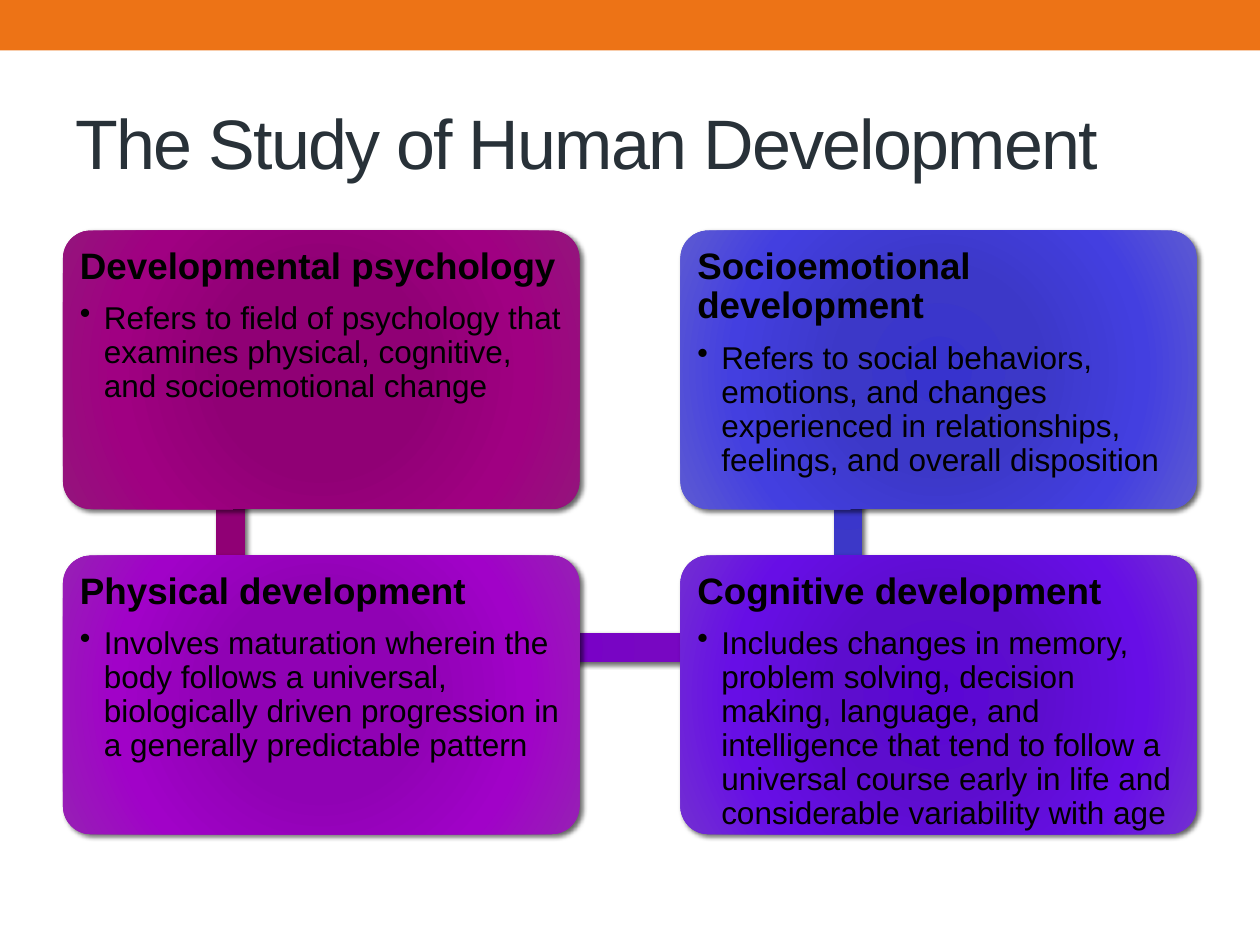
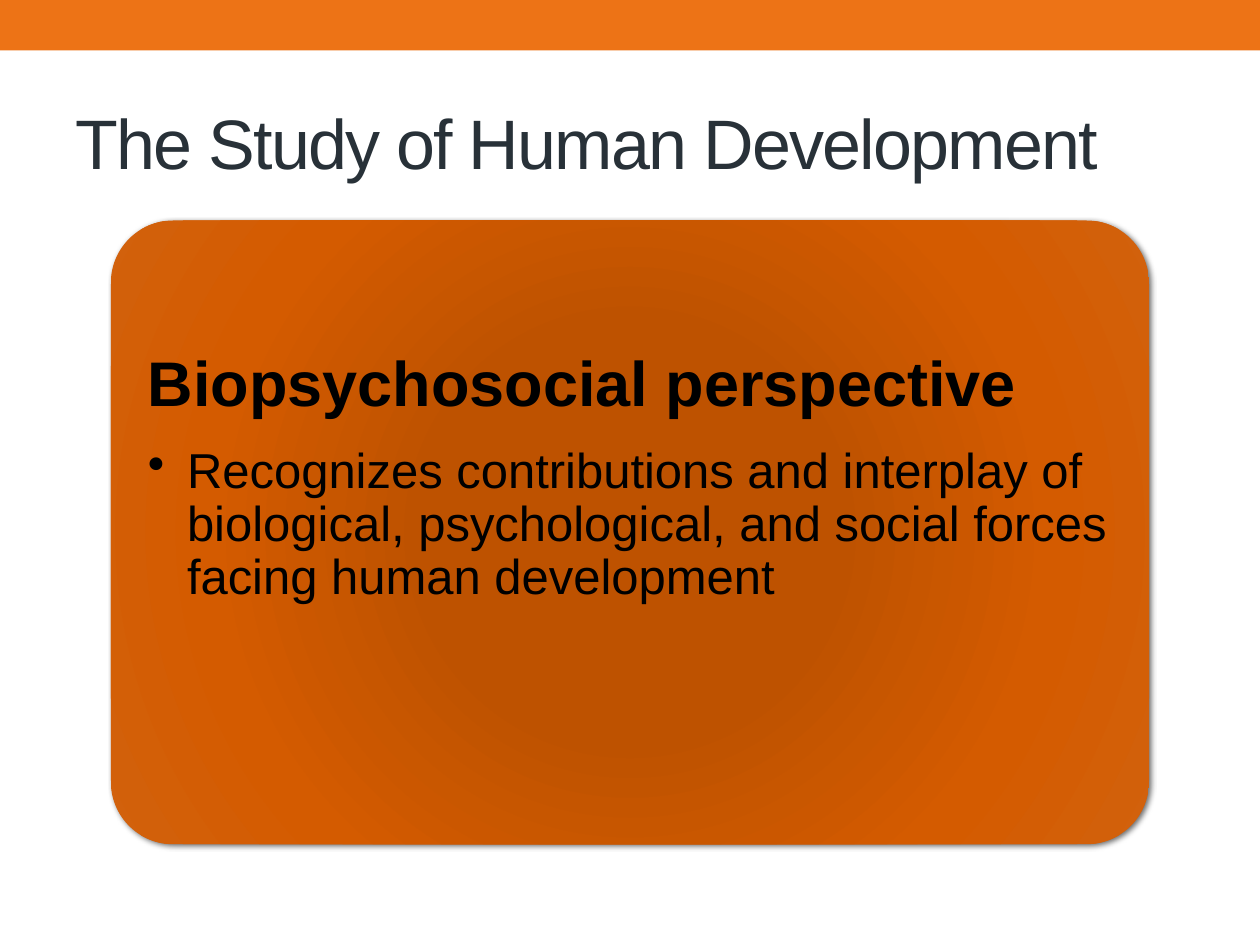
from lxml import etree
from pptx import Presentation
from pptx import util as u
from pptx.dml.color import RGBColor
from pptx.enum import shapes, text
from pptx.oxml import ns, parse_xml

IN = u.Inches
FONT = "Arial"
HEAD = "The Study of Human Development"
ORANGE = RGBColor(0xED, 0x73, 0x16)
SLATE = RGBColor(0x28, 0x31, 0x38)
BLACK = RGBColor(0, 0, 0)


def tones(*codes):
    return [RGBColor.from_string(code) for code in codes]


PLUM = tones("900075", "900075", "A00082", "94147C")
PURPLE = tones("9100B6", "9002B4", "A102C8", "9620B4")
VIOLET = tones("7900C8", "7807C2", "8607D8", "8627C3")
INDIGO = tones("5B06D5", "5D0DCE", "670EE6", "722FD1")
BLUE = tones("3733CE", "3C38C8", "433FE0", "5D5AD2")
RUST = tones("BE5200", "BE5200", "D45B00", "D2610C")
STOPS = (0, 34, 70, 100)

CARDS = [
    (0, 0, PLUM, "Developmental psychology",
     "Refers to field of psychology that examines physical, cognitive, "
     "and socioemotional change"),
    (0, 1, PURPLE, "Physical development",
     "Involves maturation wherein the body follows a universal, "
     "biologically driven progression in a generally predictable pattern"),
    (1, 1, INDIGO, "Cognitive development",
     "Includes changes in memory, problem solving, decision making, "
     "language, and intelligence that tend to follow a universal course "
     "early in life and considerable variability with age"),
    (1, 0, BLUE, "Socioemotional development",
     "Refers to social behaviors, emotions, and changes experienced in "
     "relationships, feelings, and overall disposition"),
]


def glow(shape, shades):
    stops = "".join(
        f'<a:gs pos="{pos * 1000}"><a:srgbClr val="{shade}"/></a:gs>'
        for pos, shade in zip(STOPS, shades))
    props = shape._element.spPr
    props.append(parse_xml(
        f'<a:gradFill {ns.nsdecls("a")} rotWithShape="1">'
        f'<a:gsLst>{stops}</a:gsLst><a:path path="circle"><a:fillToRect '
        'l="100000" t="100000" r="100000" b="100000"/></a:path></a:gradFill>'))
    shape.line.fill.background()
    props.append(parse_xml(
        f'<a:effectLst {ns.nsdecls("a")}><a:outerShdw blurRad="{u.Pt(3)}" '
        f'dist="{u.Pt(2)}" dir="2700000" rotWithShape="0">'
        f'<a:srgbClr val="{BLACK}"><a:alpha val="60000"/></a:srgbClr>'
        '</a:outerShdw></a:effectLst>'))


def block(slide, kind, box, shades):
    shape = slide.shapes.add_shape(kind, *map(IN, box))
    glow(shape, shades)
    return shape


def bullet(para, indent):
    para.level = 1
    props = para._p.get_or_add_pPr()
    props.set("marL", str(IN(indent)))
    props.set("indent", str(-IN(indent)))
    etree.SubElement(props, ns.qn("a:buChar")).set("char", "•")


def card(slide, box, shades, head, note, sizes, pad, indent, drop=0):
    shape = block(slide, shapes.MSO_SHAPE.ROUNDED_RECTANGLE, box, shades)
    shape.adjustments[0] = 0.1
    frame = shape.text_frame
    frame.word_wrap = True
    frame.vertical_anchor = text.MSO_ANCHOR.TOP
    frame.margin_left = frame.margin_right = frame.margin_bottom = IN(pad)
    frame.margin_top = IN(pad + drop)
    frame.text = f"{head}\n{note}"
    first, last = frame.paragraphs
    first.space_after = u.Pt(round(sizes[0] * 0.41, 1))
    bullet(last, indent)
    for para, size in zip((first, last), sizes):
        para.alignment = text.PP_ALIGN.LEFT
        para.line_spacing = 0.9
        font = para.runs[0].font
        font.name, font.size = FONT, u.Pt(size)
        font.bold = para is first
        font.color.rgb = BLACK


def grid(slide, box):
    left, top, width, height = box
    wide, high, thick = 4.1, 2.21, 0.22
    step, drop = width - wide, height - high
    rect = shapes.MSO_SHAPE.RECTANGLE
    for col, shades in enumerate((PLUM, BLUE)):
        bar = (left + col * step + 1.22, top + 0.46, thick, 3.12)
        block(slide, rect, bar, shades)
    block(slide, rect, (left + 0.8, top + drop + 0.62, 5.95, thick), VIOLET)
    for col, row, shades, head, note in CARDS:
        spot = (left + col * step, top + row * drop, wide, high)
        card(slide, spot, shades, head, note, (21, 18), 0.07, 0.19)


def theme(deck):
    master = deck.slide_master
    title = master.placeholders[0]
    title.left, title.top, title.width, title.height = map(
        IN, (0.5, 0.58, 9, 1.08))
    level = master._element.find(".//" + ns.qn("p:titleStyle")).find(
        ns.qn("a:lvl1pPr"))
    level.set("algn", "l")
    level.replace(level.find(ns.qn("a:defRPr")), parse_xml(
        f'<a:defRPr {ns.nsdecls("a")} sz="4000" spc="-100"><a:solidFill>'
        f'<a:srgbClr val="{SLATE}"/></a:solidFill>'
        f'<a:latin typeface="{FONT}"/></a:defRPr>'))


def band(deck, slide):
    strip = slide.shapes.add_shape(
        shapes.MSO_SHAPE.RECTANGLE, 0, 0, deck.slide_width, IN(0.4))
    strip.fill.solid()
    strip.fill.fore_color.rgb = ORANGE
    strip.line.fill.background()
    strip.shadow.inherit = False
    deck.slide_master.shapes._spTree.insert(2, strip._element)


def page(deck):
    slide = deck.slides.add_slide(deck.slide_layouts[5])
    slide.shapes.title.text_frame.text = HEAD
    return slide


def main():
    deck = Presentation()
    deck.slide_width, deck.slide_height = IN(10), IN(7.5)
    theme(deck)
    study = page(deck)
    band(deck, study)
    grid(study, (0.5, 1.83, 9, 4.79))
    card(page(deck), (0.88, 1.75, 8.24, 4.95), RUST,
         "Biopsychosocial perspective",
         "Recognizes contributions and interplay of biological, "
         "psychological, and social forces facing human development",
         (36, 28), 0.15, 0.31, drop=0.75)
    deck.save("out.pptx")


if __name__ == "__main__":
    main()
